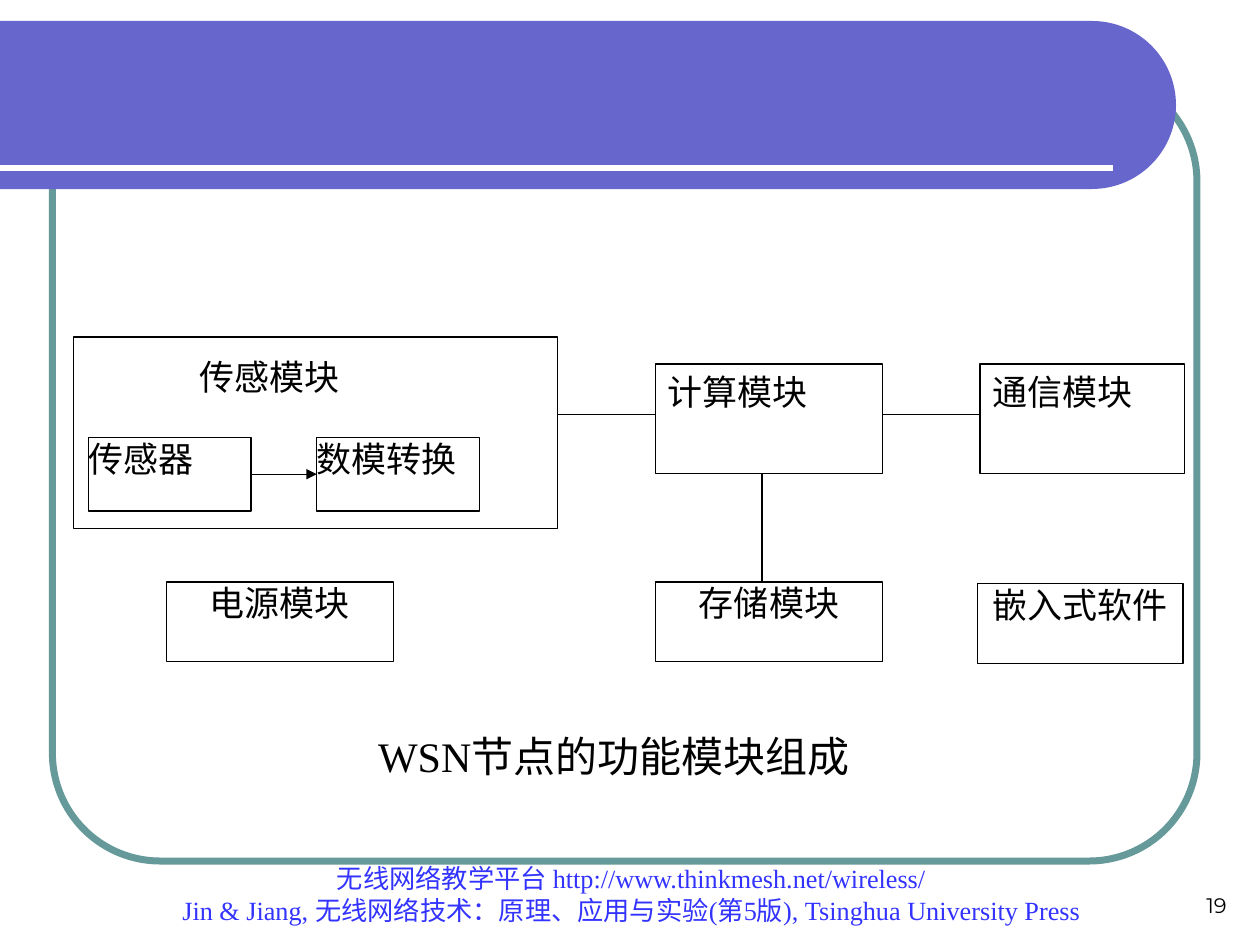
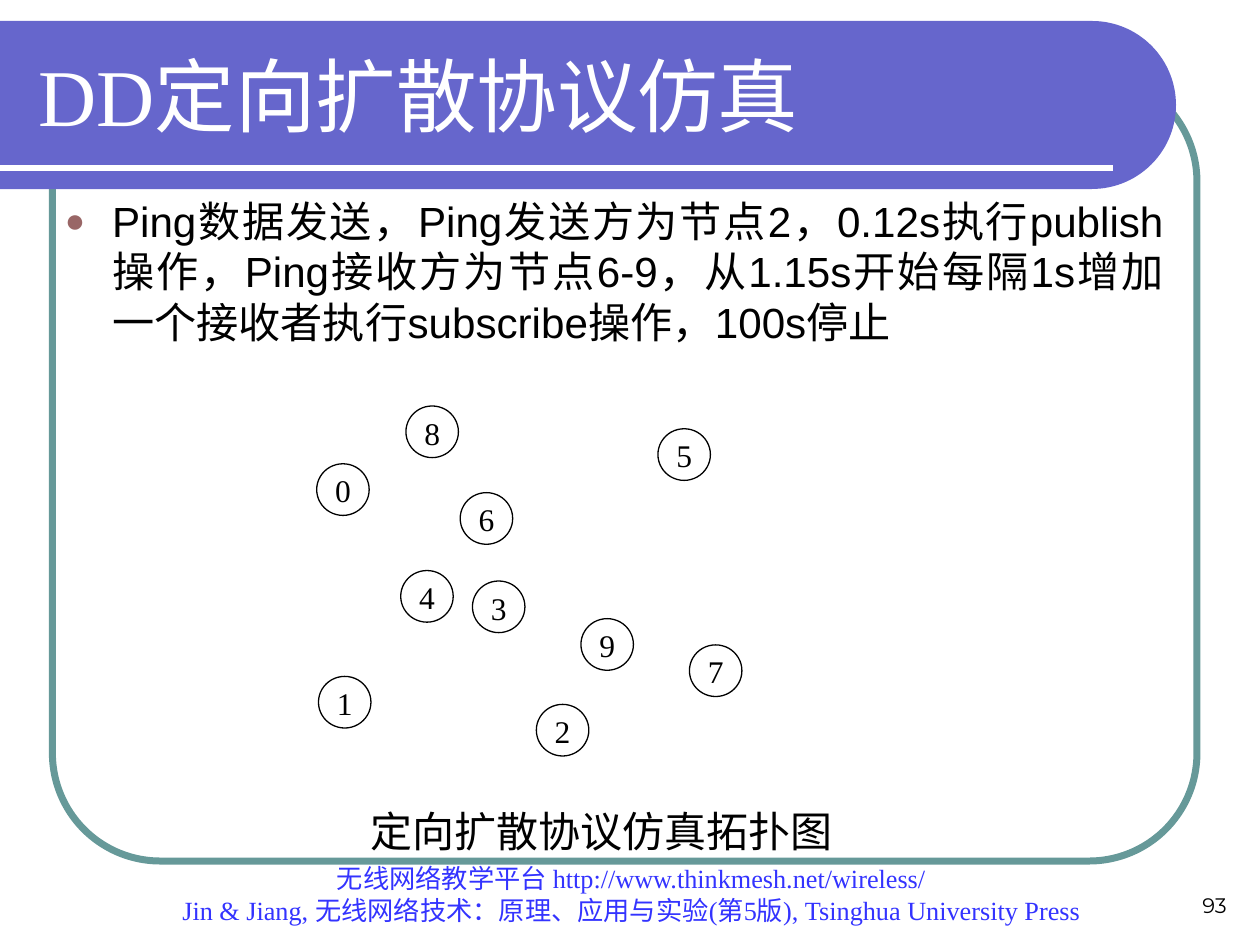
"""Build two slides on wireless sensor nodes and directed diffusion."""
import math
from dataclasses import dataclass
from typing import Any, Optional

import lxml.etree
import pptx
import pptx.dml.color
import pptx.enum.lang
import pptx.enum.shapes
import pptx.enum.text
import pptx.oxml.ns
import pptx.util

Pt = pptx.util.Pt
RGBColor = pptx.dml.color.RGBColor
Align = pptx.enum.text.PP_ALIGN
Anchor = pptx.enum.text.MSO_ANCHOR
Preset = pptx.enum.shapes.MSO_SHAPE
qn = pptx.oxml.ns.qn

WHITE = RGBColor(0xFF, 0xFF, 0xFF)
BLACK = RGBColor(0x00, 0x00, 0x00)
BAND = RGBColor(0x66, 0x66, 0xCC)
FRAME = RGBColor(0x66, 0x99, 0x99)
FOOTER = RGBColor(0x33, 0x33, 0xFF)
BULLET = RGBColor(0x99, 0x66, 0x66)

SERIF = "Times New Roman"
SANS = "Arial"
NUMBER_FONT = "Montserrat"
INSET = (7.2, 3.6)
THIN = 0.75
BAND_TOP, BAND_RADIUS, BAND_STRAIGHT = 12, 48, 624
NODE_SIZE = (30, 29.5)

FOOTER_TEXT = (
    "无线网络教学平台 http://www.thinkmesh.net/wireless/\n"
    "Jin & Jiang, 无线网络技术：原理、应用与实验(第5版), Tsinghua University Press"
)
PING_TEXT = (
    "Ping数据发送，Ping发送方为节点2，0.12s执行publish操作，"
    "Ping接收方为节点6-9，从1.15s开始每隔1s增加一个接收者执行subscribe操作，100s停止"
)


@dataclass(frozen=True)
class Module:
    """A rectangle of the block diagram."""
    text: str
    left: float
    top: float
    width: float
    height: float
    align: Any = Align.JUSTIFY
    inset: tuple[float, float] = (0, 0)
    outlined: bool = True


@dataclass(frozen=True)
class Node:
    """A numbered circle of the topology."""
    number: int
    left: float
    top: float


SENSOR, CONVERTER = "传感器", "数模转换"
MODULES = [
    Module("", 42, 192.5, 276.5, 109.5),
    Module("传感模块", 114, 203, 93, 42, outlined=False),
    Module(SENSOR, 50.5, 250, 93, 42),
    Module(CONVERTER, 181, 250, 93, 42),
    Module("计算模块", 374.5, 208, 130, 62.5, inset=INSET),
    Module("通信模块", 560, 208, 117, 62.5, inset=INSET),
    Module("电源模块", 95, 332.5, 130, 45.5, Align.CENTER),
    Module("存储模块", 374.5, 332.5, 130, 45.5, Align.CENTER),
    Module("嵌入式软件", 558.5, 333.5, 117.5, 45.5, Align.CENTER),
]
LINKS = [
    (318.5, 237, 374.5, 237),
    (504.5, 237, 560, 237),
    (435.5, 270.5, 435.5, 332.5),
]
NODES = [
    Node(0, 181, 265), Node(8, 232, 232), Node(5, 376, 245),
    Node(6, 263, 281.5), Node(4, 229, 326), Node(3, 270, 332),
    Node(9, 332, 353.5), Node(7, 394, 368.5), Node(2, 306.5, 402.5),
    Node(1, 182, 386.5),
]


def write(box: Any, text: str, *, size: float, font: str = SERIF,
          color: RGBColor = BLACK, align: Any = Align.LEFT,
          anchor: Any = Anchor.TOP, inset: tuple[float, float] = INSET,
          wrap: bool = True, bullet: Optional[str] = None) -> None:
    """Put formatted text in a box, one paragraph a line."""
    frame = box.text_frame
    frame.word_wrap = wrap
    if not wrap:
        frame.auto_size = pptx.enum.text.MSO_AUTO_SIZE.SHAPE_TO_FIT_TEXT
    frame.vertical_anchor = anchor
    frame.margin_left = frame.margin_right = Pt(inset[0])
    frame.margin_top = frame.margin_bottom = Pt(inset[1])
    for index, line in enumerate(text.split("\n")):
        para = frame.paragraphs[0] if index == 0 else frame.add_paragraph()
        para.alignment = align
        if bullet:
            add_bullet(para, bullet)
        span = para.add_run()
        span.text = line
        span.font.size = Pt(size)
        span.font.name = font
        span.font.color.rgb = color
        span.font.language_id = pptx.enum.lang.MSO_LANGUAGE_ID.SIMPLIFIED_CHINESE


def add_bullet(para: Any, symbol: str) -> None:
    """Give a paragraph a hanging coloured bullet."""
    props = para._p.get_or_add_pPr()
    props.set("marL", str(Pt(27)))
    props.set("indent", str(-Pt(27)))
    tint = lxml.etree.SubElement(props, qn("a:buClr"))
    lxml.etree.SubElement(tint, qn("a:srgbClr"), val=str(BULLET))
    lxml.etree.SubElement(props, qn("a:buSzPct"), val="80000")
    lxml.etree.SubElement(props, qn("a:buFont"), typeface=SANS)
    lxml.etree.SubElement(props, qn("a:buChar"), char=symbol)


def paint(shape: Any, fill: Optional[RGBColor], line: Optional[RGBColor],
          weight: float = THIN) -> None:
    """Set the fill and outline of a shape and drop its shadow."""
    shape.shadow.inherit = False
    if fill is None:
        shape.fill.background()
    else:
        shape.fill.solid()
        shape.fill.fore_color.rgb = fill
    if line is None:
        shape.line.fill.background()
    else:
        shape.line.color.rgb = line
        shape.line.width = Pt(weight)


def add_shape(page: Any, preset: Any, left: float, top: float, width: float,
              height: float, *, fill: Optional[RGBColor] = WHITE,
              line: Optional[RGBColor] = BLACK, weight: float = THIN) -> Any:
    """Add a painted preset shape."""
    shape = page.shapes.add_shape(preset, Pt(left), Pt(top), Pt(width), Pt(height))
    paint(shape, fill, line, weight)
    return shape


def add_text(page: Any, text: str, left: float, top: float, width: float,
             height: float, **style: Any) -> None:
    """Add a text box."""
    box = page.shapes.add_textbox(Pt(left), Pt(top), Pt(width), Pt(height))
    write(box, text, **style)


def add_line(page: Any, x1: float, y1: float, x2: float, y2: float, *,
             color: RGBColor = BLACK, weight: float = THIN) -> Any:
    """Add a straight connector without a shadow."""
    line = page.shapes.add_connector(
        pptx.enum.shapes.MSO_CONNECTOR.STRAIGHT, Pt(x1), Pt(y1), Pt(x2), Pt(y2))
    line.line.color.rgb = color
    line.line.width = Pt(weight)
    lxml.etree.SubElement(line._element.spPr, qn("a:effectLst"))
    return line


def add_arrow(page: Any, source: Any, target: Any) -> None:
    """Join the right side of one box to the left side of another."""
    arrow = add_line(page, 0, 0, 0, 0)
    arrow.begin_connect(source, 3)
    arrow.end_connect(target, 1)
    lxml.etree.SubElement(arrow.line._get_or_add_ln(), qn("a:tailEnd"), type="triangle")


def add_band(page: Any) -> None:
    """Draw the title band with its round right end."""
    middle = BAND_TOP + BAND_RADIUS
    arc = [
        (BAND_STRAIGHT + BAND_RADIUS * math.cos(math.radians(angle)),
         middle + BAND_RADIUS * math.sin(math.radians(angle)))
        for angle in range(-90, 91, 3)
    ]
    outline = page.shapes.build_freeform(0, Pt(BAND_TOP), scale=1.0)
    corners = arc + [(0, BAND_TOP + 2 * BAND_RADIUS)]
    outline.add_line_segments([(Pt(x), Pt(y)) for x, y in corners], close=True)
    paint(outline.convert_to_shape(), BAND, None)
    add_line(page, 0, 96, 636, 96, color=WHITE, weight=3)


def add_page(deck: Any, number: int) -> Any:
    """Add a slide with the shared frame, band, footer and number."""
    page = deck.slides.add_slide(deck.slide_layouts[6])
    frame = add_shape(page, Preset.ROUNDED_RECTANGLE, 30, 42, 654, 450,
                      fill=None, line=FRAME, weight=4)
    frame.adjustments[0] = 0.137
    add_band(page)
    add_text(page, FOOTER_TEXT, 55.5, 502.5, 610.5, 30, size=15, color=FOOTER,
             align=Align.CENTER, anchor=Anchor.BOTTOM)
    add_text(page, str(number), 540, 492, 168, 36, size=12, font=NUMBER_FONT,
             align=Align.RIGHT, anchor=Anchor.BOTTOM)
    return page


def add_caption(page: Any, text: str, left: float, top: float, width: float) -> None:
    """Add the caption below a figure."""
    add_text(page, text, left, top, width, 36, size=24, anchor=Anchor.MIDDLE, wrap=False)


def build_modules(deck: Any) -> None:
    """Build the block diagram of a sensor node."""
    page = add_page(deck, 19)
    boxes = {}
    for module in MODULES:
        box = add_shape(page, Preset.RECTANGLE, module.left, module.top,
                        module.width, module.height,
                        line=BLACK if module.outlined else None)
        if module.text:
            write(box, module.text, size=20, align=module.align, inset=module.inset)
        boxes[module.text] = box
    add_arrow(page, boxes[SENSOR], boxes[CONVERTER])
    for link in LINKS:
        add_line(page, *link)
    add_caption(page, "WSN节点的功能模块组成", 209, 414, 293)


def build_topology(deck: Any) -> None:
    """Build the simulated network topology."""
    page = add_page(deck, 93)
    add_text(page, "DD定向扩散协议仿真", 15, 18, 631.5, 72, size=46,
             color=WHITE, anchor=Anchor.MIDDLE)
    add_text(page, PING_TEXT, 30, 108, 642, 120, size=24.1, font=SANS,
             align=Align.JUSTIFY, bullet="●")
    for node in NODES:
        circle = add_shape(page, Preset.OVAL, node.left, node.top, *NODE_SIZE)
        write(circle, str(node.number), size=18, align=Align.CENTER, inset=(0, 0))
    add_caption(page, "定向扩散协议仿真拓扑图", 204.5, 456.5, 282)


def main() -> None:
    """Build and save the deck."""
    deck = pptx.Presentation()
    deck.slide_width, deck.slide_height = Pt(720), Pt(540)
    build_modules(deck)
    build_topology(deck)
    deck.save("out.pptx")


if __name__ == "__main__":
    main()
